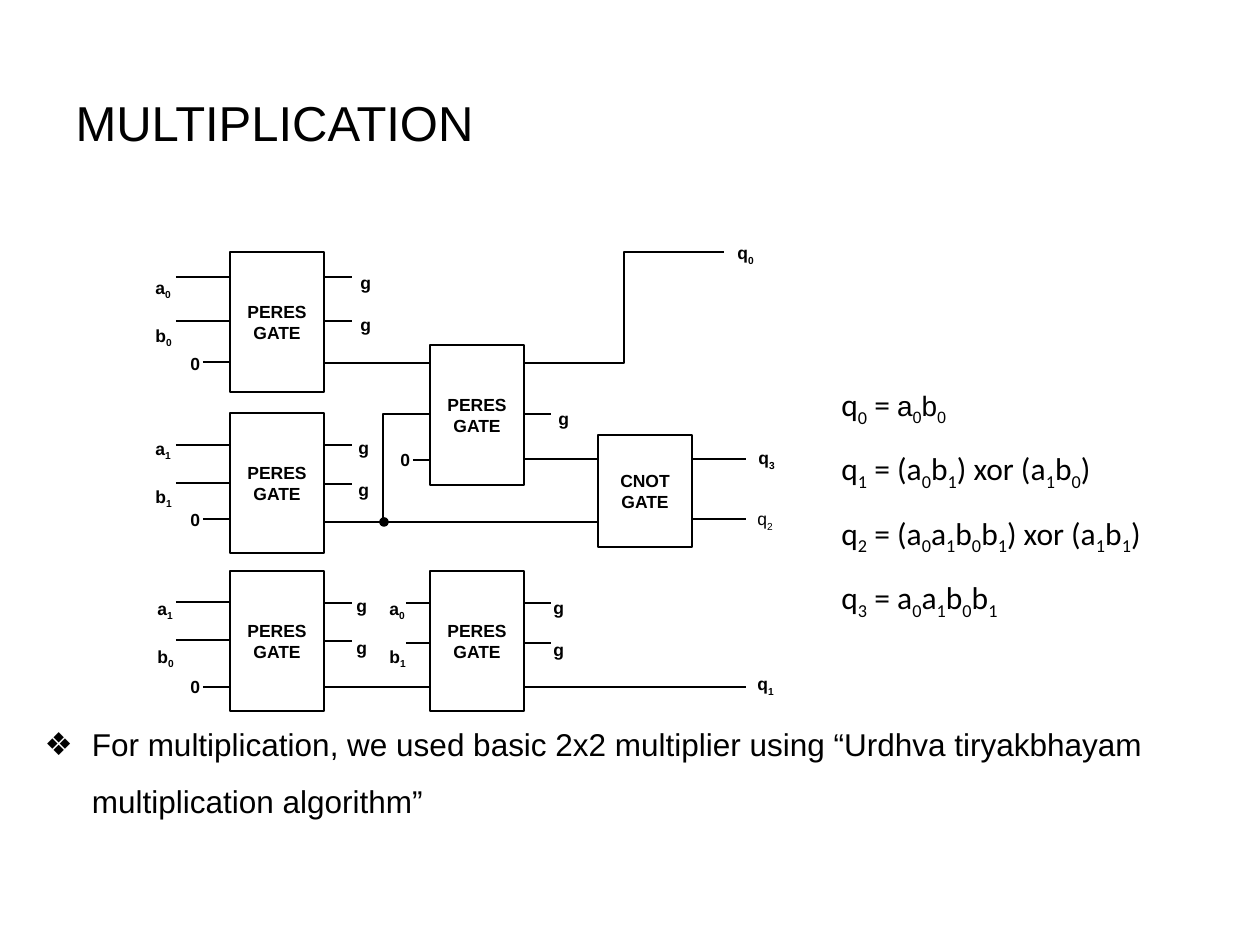
import pptx
import pptx.util
import pptx.dml.color
import pptx.enum.shapes
import pptx.enum.text
import pptx.oxml
import pptx.oxml.ns

PX = 914400 / 126
BLACK = pptx.dml.color.RGBColor(0, 0, 0)
WHITE = pptx.dml.color.RGBColor(255, 255, 255)
SHAPE = pptx.enum.shapes.MSO_SHAPE
CONNECTOR = pptx.enum.shapes.MSO_CONNECTOR
ANCHOR = pptx.enum.text.MSO_ANCHOR
ALIGN = pptx.enum.text.PP_ALIGN
AUTO_SIZE = pptx.enum.text.MSO_AUTO_SIZE
qn = pptx.oxml.ns.qn


def px(*lengths):
    return [round(length * PX) for length in lengths]


def write(paragraph, text, size, font="Arial", bold=False):
    """Add runs; the character after each underscore is a subscript."""
    plain, *subscripted = text.split("_")
    pieces = [(plain, False)]
    for piece in subscripted:
        pieces += [(piece[0], True), (piece[1:], False)]
    for piece, is_subscript in pieces:
        if piece:
            run = paragraph.add_run()
            run.text = piece
            run.font.size = pptx.util.Pt(size)
            run.font.name = font
            run.font.bold = bold
            run.font.color.rgb = BLACK
            if is_subscript:
                run.font._element.set("baseline", "-25000")


deck = pptx.Presentation()
deck.slide_width, deck.slide_height = px(1260, 945)
slide = deck.slides.add_slide(deck.slide_layouts[1])
shapes = slide.shapes

# Title
title = shapes.title
title.left, title.top, title.width, title.height = px(63, 22, 1134, 199)
title.text_frame.vertical_anchor = ANCHOR.MIDDLE
heading = title.text_frame.paragraphs[0]
heading.alignment = ALIGN.LEFT
write(heading, "MULTIPLICATION", 28)

# Bulleted remark
remark = slide.placeholders[1]
remark.left, remark.top, remark.width, remark.height = px(32, 700, 1187, 203)
remark.text_frame.auto_size = AUTO_SIZE.NONE
method = remark.text_frame.paragraphs[0]
method.line_spacing = 1.5
method.space_before = pptx.util.Pt(0)
bullet_format = method._p.get_or_add_pPr()
bullet_format.set("marL", "342900")
bullet_format.set("indent", "-342900")
bullet = pptx.oxml.parse_xml(
    f'<a:buChar {pptx.oxml.ns.nsdecls("a")} char="❖"/>')
bullet_format.append(bullet)
write(method, "For multiplication, we used basic 2x2 multiplier using "
      "“Urdhva tiryakbhayam multiplication algorithm”", 18)

# Output equations, each a list of (text, size, font)
equations = [
    [("q_0 = ", 18, "Calibri"), ("a_0b_0", 16, "Arial")],
    [("q_1 = (a_0b_1) xor (a_1b_0)", 18, "Calibri")],
    [("q_2 = (a_0a_1b_0b_1) xor (a_1b_1)", 18, "Calibri")],
    [("q_3 = a_0a_1b_0b_1", 18, "Calibri")],
]
outputs = shapes.add_textbox(*px(829, 357, 451, 235)).text_frame
outputs.word_wrap = True
for row, equation in enumerate(equations):
    line = outputs.add_paragraph() if row else outputs.paragraphs[0]
    line.line_spacing = 1.5
    for text, size, font in equation:
        write(line, text, size, font)

# Gates
gates = [
    (230, 252, 140, "PERES GATE"), (230, 413, 140, "PERES GATE"),
    (230, 571, 140, "PERES GATE"), (430, 345, 140, "PERES GATE"),
    (430, 571, 140, "PERES GATE"), (598, 435, 112, "CNOT GATE"),
]
for left, top, height, name in gates:
    gate = shapes.add_shape(SHAPE.RECTANGLE, *px(left, top, 94, height))
    gate.shadow.inherit = False
    gate.fill.solid()
    gate.fill.fore_color.rgb = WHITE
    gate.line.color.rgb = BLACK
    gate.line.width = pptx.util.Pt(0.75)
    gate.text_frame.vertical_anchor = ANCHOR.MIDDLE
    gate.text_frame.paragraphs[0].alignment = ALIGN.CENTER
    write(gate.text_frame.paragraphs[0], name, 10, bold=True)

# Horizontal wires, grouped by their two ends: (from x, to x, heights)
wire_groups = [
    (176, 230, [277, 321, 445, 483, 602, 640]),  # operand inputs
    (203, 230, [362, 519, 687]),                 # constant inputs
    (324, 352, [277, 321, 445, 484, 603, 641]),  # garbage outputs
    (524, 551, [414, 603, 643]),
    (406, 430, [603, 643]),
    (413, 430, [460]),
    (692, 746, [459, 519]),                      # CNOT results
    (324, 430, [363, 687]),                      # gate to gate
    (324, 598, [522]),
    (524, 598, [459]),
    (524, 746, [687]),
]
wires = [shapes.add_connector(CONNECTOR.STRAIGHT, *px(start, y, end, y))
         for start, end, heights in wire_groups for y in heights]

# Bent wires: the q0 output and the branch into the middle gate
wires.append(shapes.add_connector(CONNECTOR.ELBOW, *px(724, 252, 524, 363)))
branch = shapes.add_connector(CONNECTOR.ELBOW, *px(430, 414, 383, 519))
branch._element.spPr.find(qn("a:prstGeom")).set("prst", "bentConnector2")
wires.append(branch)

for wire in wires:
    wire.line.color.rgb = BLACK
    wire.line.width = pptx.util.Pt(0.75)
    wire._element.spPr.append(pptx.oxml.parse_xml(
        f'<a:effectLst {pptx.oxml.ns.nsdecls("a")}/>'))

# Junction dot
junction = shapes.add_shape(SHAPE.FLOWCHART_CONNECTOR, *px(381, 519, 6, 6))
junction.shadow.inherit = False
junction.fill.solid()
junction.fill.fore_color.rgb = BLACK
junction.line.color.rgb = BLACK
junction.line.width = pptx.util.Pt(2)

# Signal labels: (left, top, width, height, lines, line spacing)
labels = [
    (143, 247, 53, 91, ["a_0", "b_0"], 2),
    (143, 408, 53, 91, ["a_1", "b_1"], 2),
    (145, 568, 53, 91, ["a_1", "b_0"], 2),
    (377, 568, 53, 91, ["a_0", "b_1"], 2),
    (348, 245, 40, 91, ["g", "g"], 2),
    (346, 410, 40, 91, ["g", "g"], 2),
    (344, 568, 40, 91, ["g", "g"], 2),
    (541, 570, 40, 91, ["g", "g"], 2),
    (546, 381, 40, 49, ["g"], 2),
    (178, 347, 35, 34, ["0"], 1),
    (178, 503, 35, 34, ["0"], 1),
    (178, 670, 35, 34, ["0"], 1),
    (388, 443, 35, 34, ["0"], 1),
    (725, 236, 43, 34, ["q_0"], 1),
    (746, 441, 43, 34, ["q_3"], 1),
    (745, 502, 43, 34, ["q_2"], 1),
    (745, 667, 43, 34, ["q_1"], 1),
]
for left, top, width, height, signals, spacing in labels:
    label = shapes.add_textbox(*px(left, top, width, height)).text_frame
    label.word_wrap = spacing == 2
    for row, signal in enumerate(signals):
        line = label.add_paragraph() if row else label.paragraphs[0]
        line.line_spacing = float(spacing)
        write(line, signal, 10, bold=signal != "q_2")

deck.save("out.pptx")
